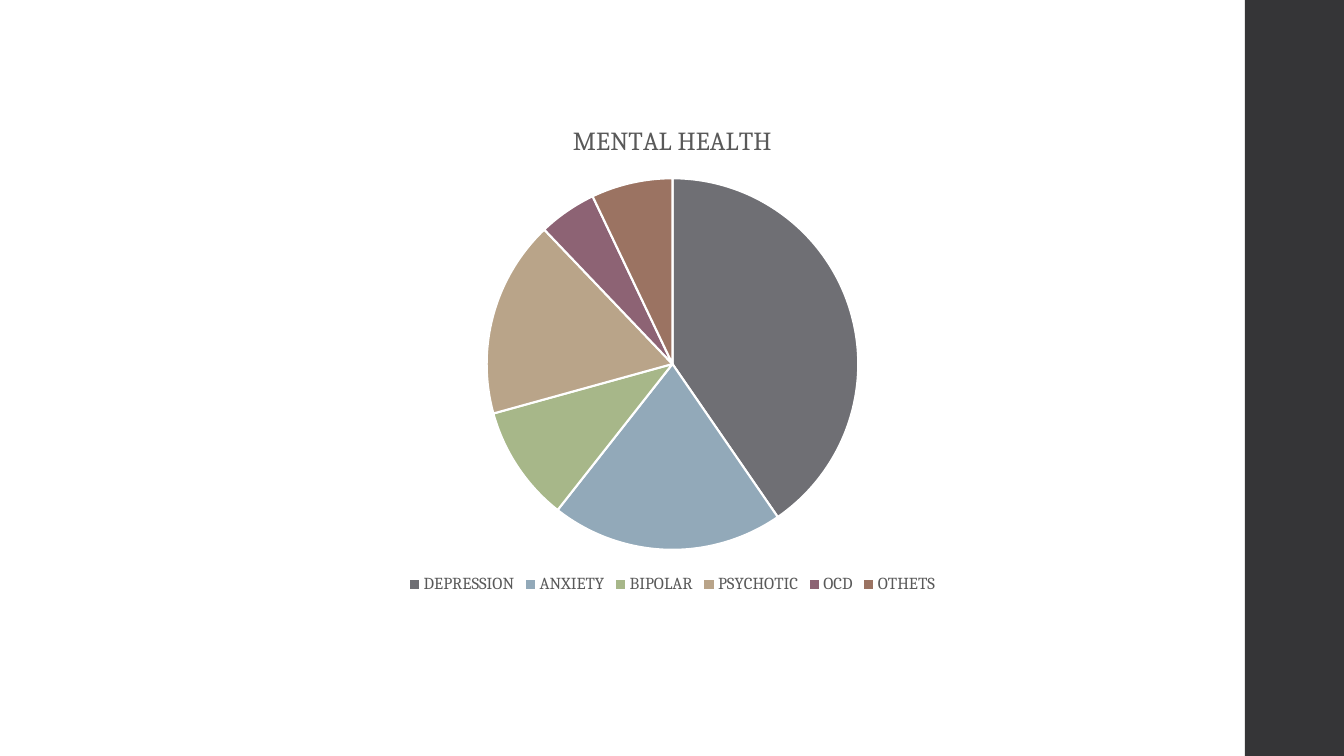
import pptx
import pptx.chart.data
import pptx.dml.color
import pptx.enum.chart
import pptx.enum.shapes
import pptx.util

THEME = {
    "font": "Cambria",
    "text": "595959",
    "band": "353537",
    "gap": "FFFFFF",
    "title_size": 18.6,
    "legend_size": 12,
    "base_size": 10,
    "gap_width": 1.5,
}
SLICES = [
    ("DEPRESSION", 40, "6F6F74"),
    ("ANXIETY", 20, "92A9B9"),
    ("BIPOLAR", 10, "A7B789"),
    ("PSYCHOTIC", 17, "B9A489"),
    ("OCD", 5, "8D6374"),
    ("OTHETS", 7, "9B7362"),
]
TITLE = "MENTAL HEALTH"
W, H = 1344, 756
EMU_PER_PX = 914400 / 100.8


def px(n):
    return pptx.util.Emu(round(n * EMU_PER_PX))


def rgb(name):
    return pptx.dml.color.RGBColor.from_string(name)


prs = pptx.Presentation()
prs.slide_width, prs.slide_height = px(W), px(H)
slide = prs.slides.add_slide(prs.slide_layouts[6])

# Dark band along the right edge
band_left = 1245
sp = slide.shapes.add_shape(
    pptx.enum.shapes.MSO_SHAPE.RECTANGLE, px(band_left), 0, px(W - band_left), px(H))
sp.shadow.inherit = False
sp.fill.solid()
sp.fill.fore_color.rgb = rgb(THEME["band"])
sp.line.fill.background()

# Pie chart
data = pptx.chart.data.CategoryChartData()
data.categories = [name for name, value, color in SLICES]
data.add_series(TITLE, [value for name, value, color in SLICES])
chart = slide.shapes.add_chart(
    pptx.enum.chart.XL_CHART_TYPE.PIE, px(93), px(103), px(1159), px(495), data).chart
plot = chart.plots[0]
plot.vary_by_categories = True
for i, (name, value, color) in enumerate(SLICES):
    fmt = plot.series[0].points[i].format
    fmt.fill.solid()
    fmt.fill.fore_color.rgb = rgb(color)
    fmt.line.color.rgb = rgb(THEME["gap"])
    fmt.line.width = pptx.util.Pt(THEME["gap_width"])

# Title and legend
chart.has_title = True
tf = chart.chart_title.text_frame
tf.text = TITLE
chart.chart_title.include_in_layout = False
chart.has_legend = True
chart.legend.position = pptx.enum.chart.XL_LEGEND_POSITION.BOTTOM
chart.legend.include_in_layout = False

# Chart fonts
for font, size in (
    (chart.font, "base_size"),
    (tf.paragraphs[0].runs[0].font, "title_size"),
    (chart.legend.font, "legend_size"),
):
    values = {"name": THEME["font"], "size": pptx.util.Pt(THEME[size]), "bold": False}
    for key, value in values.items():
        setattr(font, key, value)
    font.color.rgb = rgb(THEME["text"])

prs.save("out.pptx")
